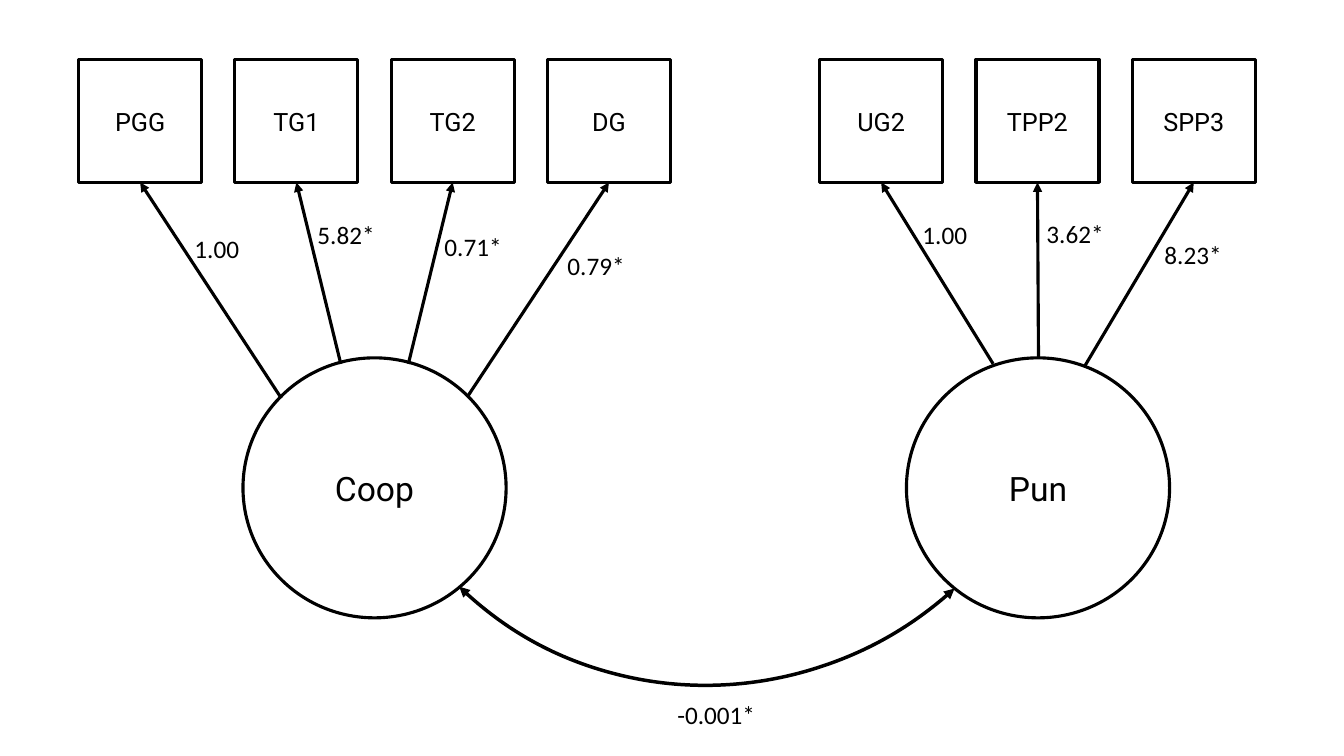
"""Build a path diagram of two latent factors, their indicators and loadings."""
from dataclasses import dataclass

from lxml.etree import SubElement
from pptx import Presentation
from pptx.dml.color import RGBColor
from pptx.enum.shapes import MSO_CONNECTOR, MSO_SHAPE
from pptx.enum.text import MSO_ANCHOR, MSO_AUTO_SIZE, PP_ALIGN
from pptx.oxml.ns import qn
from pptx.util import Inches, Pt


@dataclass(frozen=True)
class Theme:
    ink: RGBColor = RGBColor(0, 0, 0)
    paper: RGBColor = RGBColor(255, 255, 255)
    node_font: str = "Roboto"
    value_font: str = "Calibri"
    factor_size: int = 24
    text_size: int = 18
    outline: float = 2.25
    covariance_line: float = 2.5


FACTORS = [
    {
        "name": "Coop", "left": 2.41, "first_box": 0.78,
        "indicators": [
            ("PGG", "1.00", (2.79, 3.95), (1.83, 2.27)),
            ("TG1", "5.82*", (3.38, 3.61), (3.05, 2.13)),
            ("TG2", "0.71*", (4.05, 3.61), (4.31, 2.25)),
            ("DG", "0.79*", (4.64, 3.93), (5.53, 2.43)),
        ],
    },
    {
        "name": "Pun", "left": 8.99, "first_box": 8.13,
        "indicators": [
            ("UG2", "1.00", (9.85, 3.61), (9.05, 2.13)),
            ("TPP2", "3.62*", (10.3, 3.55), (10.28, 2.12)),
            ("SPP3", "8.23*", (10.76, 3.63), (11.45, 2.33)),
        ],
    },
]
COVARIANCE = ("-0.001*", (6.62, 6.89))
COVARIANCE_ARC = (3.44, -0.36, 7.3, 7.11)
ARC_ROTATION, ARC_START, ARC_END = 134, 164.43, 0

FACTOR_TOP, FACTOR_WIDTH, FACTOR_HEIGHT = 3.55, 2.61, 2.58
BOX_TOP, BOX_SIDE, BOX_STEP = 0.59, 1.22, 1.55
VALUE_WIDTHS = {4: 0.68, 5: 0.78, 7: 0.98}
VALUE_HEIGHT = 0.4

theme = Theme()
deck = Presentation()
deck.slide_width, deck.slide_height = Inches(13.33), Inches(7.5)
slide = deck.slides.add_slide(deck.slide_layouts[6])


def write(frame, words, font, size):
    frame.text = words
    for run in frame.paragraphs[0].runs:
        run.font.name = font
        run.font.size = Pt(size)
        run.font.color.rgb = theme.ink


def stroke(shape, width, ends=()):
    shape.line.color.rgb = theme.ink
    shape.line.width = Pt(width)
    for end in ends:
        SubElement(shape.line._get_or_add_ln(), qn(f"a:{end}"), type="triangle")


def add_node(kind, place, name, size):
    node = slide.shapes.add_shape(kind, *map(Inches, place))
    node.shadow.inherit = False
    node.fill.solid()
    node.fill.fore_color.rgb = theme.paper
    stroke(node, theme.outline)
    write(node.text_frame, name, theme.node_font, size)
    node.text_frame.vertical_anchor = MSO_ANCHOR.MIDDLE
    node.text_frame.paragraphs[0].alignment = PP_ALIGN.CENTER


def add_loading_arrow(start, tip):
    arrow = slide.shapes.add_connector(MSO_CONNECTOR.STRAIGHT, *map(Inches, start + tip))
    stroke(arrow, theme.outline, ["tailEnd"])
    SubElement(arrow._element.spPr, qn("a:effectLst"))


def add_covariance_arc():
    arc = slide.shapes.add_shape(MSO_SHAPE.ARC, *map(Inches, COVARIANCE_ARC))
    arc.adjustments[0], arc.adjustments[1] = ARC_START, ARC_END
    arc.rotation = ARC_ROTATION
    arc.shadow.inherit = False
    arc.fill.background()
    stroke(arc, theme.covariance_line, ["headEnd", "tailEnd"])


def add_value(value, corner):
    size = (VALUE_WIDTHS[len(value)], VALUE_HEIGHT)
    frame = slide.shapes.add_textbox(*map(Inches, corner + size)).text_frame
    write(frame, value, theme.value_font, theme.text_size)
    frame.word_wrap = False
    frame.auto_size = MSO_AUTO_SIZE.SHAPE_TO_FIT_TEXT


for factor in FACTORS:
    circle = (factor["left"], FACTOR_TOP, FACTOR_WIDTH, FACTOR_HEIGHT)
    add_node(MSO_SHAPE.OVAL, circle, factor["name"], theme.factor_size)
    for position, (indicator, loading, start, corner) in enumerate(factor["indicators"]):
        left = factor["first_box"] + position * BOX_STEP
        box = (left, BOX_TOP, BOX_SIDE, BOX_SIDE)
        add_node(MSO_SHAPE.RECTANGLE, box, indicator, theme.text_size)
        add_loading_arrow(start, (left + BOX_SIDE / 2, BOX_TOP + BOX_SIDE))
        add_value(loading, corner)

add_covariance_arc()
add_value(*COVARIANCE)

deck.save("out.pptx")
